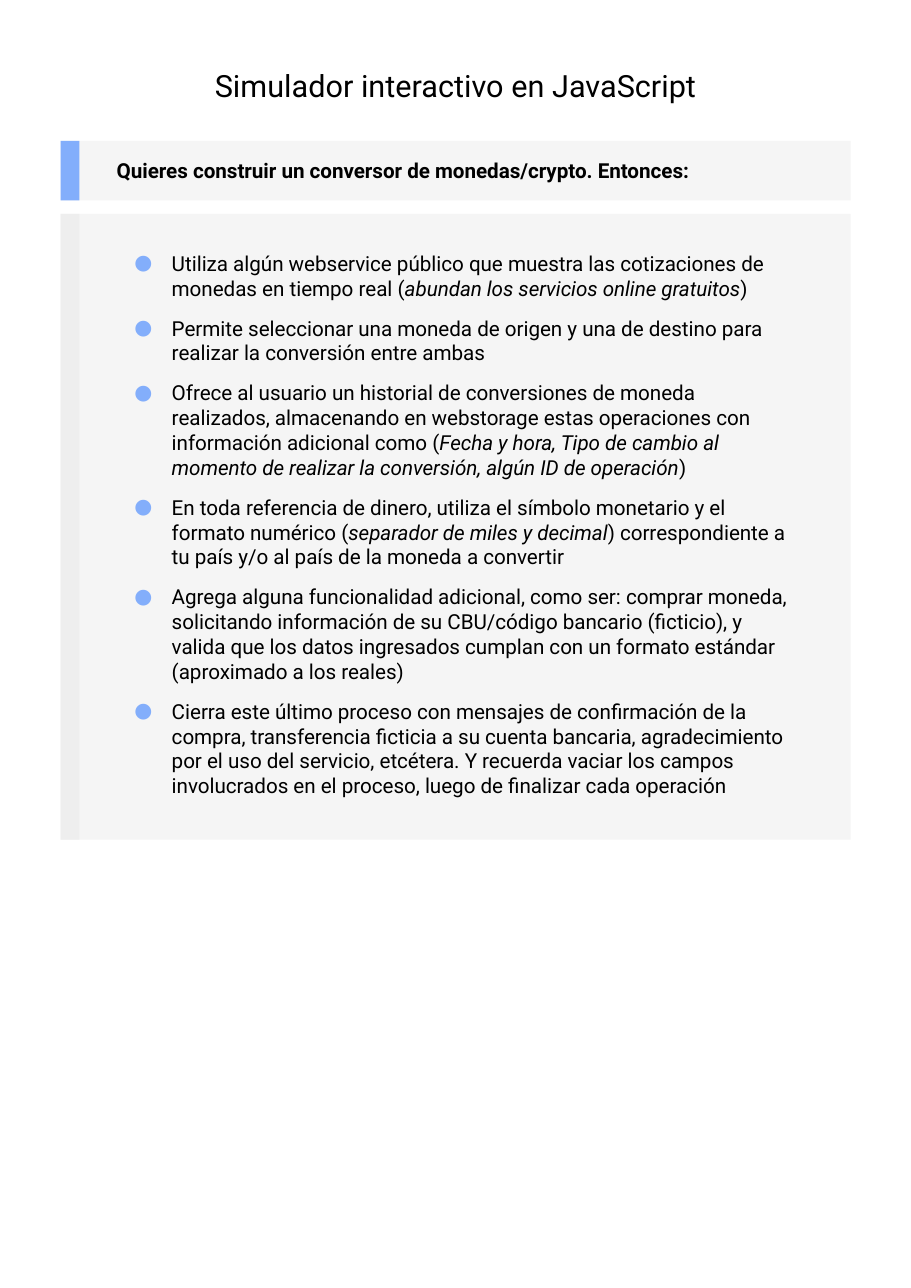
from lxml import etree
from pptx import Presentation
from pptx.dml.color import RGBColor
from pptx.enum import shapes, text
from pptx.oxml import ns
from pptx.util import Cm, Pt

FONT, BLACK, PALE, GREY, BLUE = "Roboto", "000000", "F5F5F5", "EEEEEE", "83AEFB"
LEFT, WIDE = 1.4, 18.21

# Each task is a list of pieces; every second piece is italic
TASKS = [
    ["Utiliza algún webservice público que muestra las cotizaciones de monedas "
     "en tiempo real (", "abundan los servicios online gratuitos", ")"],
    ["Permite seleccionar una moneda de origen y una de destino para realizar "
     "la conversión entre ambas"],
    ["Ofrece al usuario un historial de conversiones de moneda realizados, "
     "almacenando en webstorage estas operaciones con información adicional como (",
     "Fecha y hora, Tipo de cambio al momento de realizar la conversión, "
     "algún ID de operación", ")"],
    ["En toda referencia de dinero, utiliza el símbolo monetario y el formato "
     "numérico (", "separador de miles y decimal",
     ") correspondiente a tu país y/o al país de la moneda a convertir"],
    ["Agrega alguna funcionalidad adicional, como ser: comprar moneda, "
     "solicitando información de su CBU/código bancario (ficticio), y valida que "
     "los datos ingresados cumplan con un formato estándar (aproximado a los reales)"],
    ["Cierra este último proceso con mensajes de confirmación de la compra, "
     "transferencia ficticia a su cuenta bancaria, agradecimiento por el uso del "
     "servicio, etcétera. Y recuerda vaciar los campos involucrados en el "
     "proceso, luego de finalizar cada operación"],
]


def paint(fill, tone):
    fill.solid()
    fill.fore_color.rgb = RGBColor.from_string(tone)


def assign(item, values):
    for name, value in values.items():
        setattr(item, name, value)


def panel(slide, x, y, w, h, tone):
    """Pale panel with a coloured strip along its left side."""
    group = slide.shapes.add_group_shape()
    for width, shade in ((w, PALE), (0.43, tone)):
        rect = group.shapes.add_shape(
            shapes.MSO_SHAPE.RECTANGLE, Cm(x), Cm(y), Cm(width), Cm(h))
        paint(rect.fill, shade)
        rect.line.fill.background()
        rect.shadow.inherit = False


def frame(slide, x, y, w, h, **extra):
    """Wrapped text box with equal insets."""
    box = slide.shapes.add_textbox(Cm(x), Cm(y), Cm(w), Cm(h)).text_frame
    sides = ("left", "right", "top", "bottom")
    assign(box, {f"margin_{side}": Cm(0.25) for side in sides})
    assign(box, {"word_wrap": True, **extra})
    return box


def write(para, words, size, **extra):
    run = para.add_run()
    run.text = words
    assign(run.font, {"name": FONT, "size": Pt(size), **extra})
    paint(run.font.fill, BLACK)


def bullet(para):
    props = para._p.get_or_add_pPr()
    props.set("marL", str(Cm(1.27)))
    props.set("indent", str(Cm(-0.86)))
    tone = etree.SubElement(props, ns.qn("a:buClr"))
    etree.SubElement(tone, ns.qn("a:srgbClr"), val=BLUE)
    etree.SubElement(props, ns.qn("a:buFont"), typeface=FONT)
    etree.SubElement(props, ns.qn("a:buChar"), char="●")


def title(slide, x, y, w, h):
    box = frame(slide, x, y, w, h, auto_size=text.MSO_AUTO_SIZE.SHAPE_TO_FIT_TEXT)
    para = box.paragraphs[0]
    para.alignment = text.PP_ALIGN.CENTER
    write(para, "Simulador interactivo en JavaScript", 20)


def header(slide, x, y, w, h):
    panel(slide, x, y, w, h, BLUE)
    box = frame(slide, x + 1.04, y + 0.06, w - 1.65, h - 0.12,
                vertical_anchor=text.MSO_ANCHOR.MIDDLE)
    para = box.paragraphs[0]
    para.space_after = Pt(12)
    write(para, "Quieres construir un conversor de monedas/crypto. Entonces:",
          13.5, bold=True)


def tasks(slide, x, y, w, h):
    panel(slide, x, y, w, h, GREY)
    box = frame(slide, x + 1.04, y + 0.6, w - 2.06, h - 0.6,
                auto_size=text.MSO_AUTO_SIZE.SHAPE_TO_FIT_TEXT)
    for row, parts in enumerate(TASKS):
        para = box.add_paragraph() if row else box.paragraphs[0]
        para.space_before = Pt(10 if row else 0)
        para.space_after = Pt(10 if row == len(TASKS) - 1 else 0)
        bullet(para)
        for col, words in enumerate(parts):
            write(para, words, 13.5, italic=col % 2 == 1)


def main():
    deck = Presentation()
    assign(deck, {"slide_width": Cm(21), "slide_height": Cm(29.7)})
    slide = deck.slides.add_slide(deck.slide_layouts[6])
    paint(slide.background.fill, "FFFFFF")
    title(slide, LEFT, 1.3, WIDE, 1.37)
    header(slide, LEFT, 3.25, WIDE, 1.37)
    tasks(slide, LEFT, 4.93, WIDE, 14.43)
    deck.save("out.pptx")


if __name__ == "__main__":
    main()
